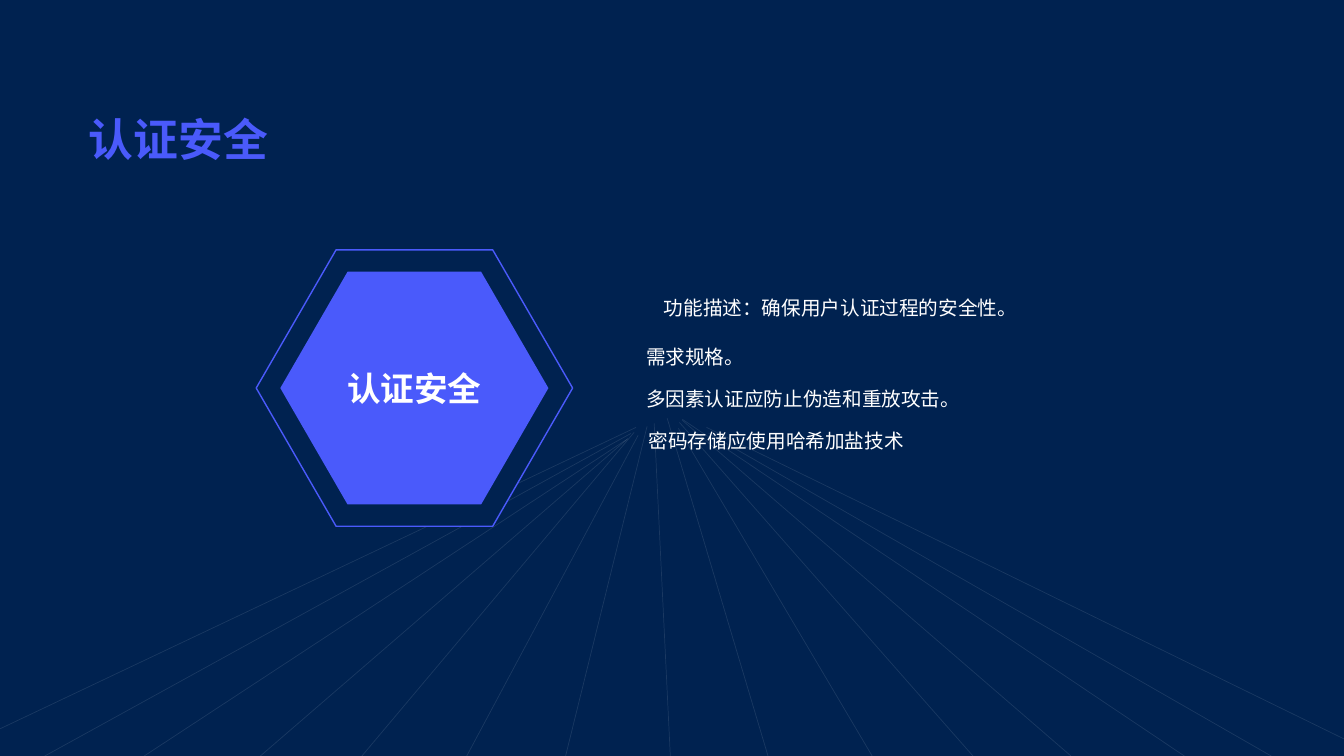
from pptx import Presentation
from pptx.dml.color import RGBColor
from pptx.enum.shapes import MSO_CONNECTOR as Conn, MSO_SHAPE as Shape
from pptx.enum.text import MSO_ANCHOR as Anchor, MSO_AUTO_SIZE as Auto, PP_ALIGN as Align
from pptx.oxml.ns import qn
from pptx.util import Pt
from lxml.etree import SubElement

# Content
NAVY, BLUE, WHITE = "002250", "4A5AFB", "FFFFFF"
CJK = "Noto Sans CJK SC"
TITLE = "认证安全"
NOTES = [  # text, left, top, width, height, alignment
    ("功能描述：确保用户认证过程的安全性。", 462.2, 204.5, 250.6, 27.4, Align.RIGHT),
    ("需求规格。", 461.5, 239.8, 275, 30, Align.LEFT),
    ("多因素认证应防止伪造和重放攻击。", 461.5, 270, 275, 30, Align.LEFT),
    ("密码存储应使用哈希加盐技术", 461.5, 299.5, 184.3, 36, Align.RIGHT),
]
HEXES = [(226, 197.5, NAVY), (191.5, 166.3, BLUE)]  # width, height, fill
HUB = (296, 277.2)  # shared centre of the hexagons
RAYS = [  # outer x, y, inner x, y
    (0, 520.6, 454.3, 305.3), (32, 540, 450.7, 309.6), (103, 540, 447.8, 313.9),
    (186, 540, 448.6, 313.2), (258.5, 540, 452.9, 308.9), (333.4, 540, 455.8, 311),
    (404, 540, 462.2, 304.6), (478.8, 540, 467.3, 302.4), (548.6, 540, 476.6, 298.8),
    (623, 540, 484.6, 306), (695, 540, 485.3, 301.7), (765, 540, 487.4, 300.2),
    (846, 540, 487.4, 299.5), (908, 540, 506.2, 309.6), (960, 527.8, 504.7, 305.3),
]


def paint(fmt, color):
    fmt.solid()
    fmt.fore_color.rgb = RGBColor.from_string(color)


def write(shape, text, anchor, align, gap, color, **look):
    frame = shape.text_frame
    edges = dict.fromkeys(("margin_left", "margin_top", "margin_right", "margin_bottom"), 0)
    form = dict(edges, word_wrap=True, auto_size=Auto.NONE, vertical_anchor=anchor)
    for key, val in form.items():
        setattr(frame, key, val)
    para = frame.paragraphs[0]
    para.alignment, para.line_spacing = align, gap
    run = para.add_run()
    run.text = text
    for key, val in look.items():
        setattr(run.font, key, val)
    paint(run.font.fill, color)
    SubElement(run.font._element, qn("a:ea"), typeface=CJK)


deck = Presentation()
deck.slide_width, deck.slide_height = Pt(960), Pt(540)
slide = deck.slides.add_slide(deck.slide_layouts[5])
paint(slide.background.fill, NAVY)
shapes = slide.shapes

# Title
title = shapes.title
box = dict(left=Pt(63.4), top=Pt(62), width=Pt(850), height=Pt(57))
for key, val in box.items():
    setattr(title, key, val)
write(title, TITLE, Anchor.BOTTOM, Align.LEFT, 0.9, BLUE,
      name="Arial", size=Pt(32), bold=True)

# Faint rays
for ray in RAYS:
    line = shapes.add_connector(Conn.STRAIGHT, *map(Pt, ray))
    line.line.width = Pt(0.5)
    paint(line.line.fill, WHITE)
    tint = next(line._element.iter(qn("a:srgbClr")))
    SubElement(tint, qn("a:alpha"), val="10000")
    SubElement(line._element.spPr, qn("a:effectLst"))

# Hexagons
for wide, high, fill in HEXES:
    hexa = shapes.add_shape(Shape.HEXAGON, Pt(HUB[0] - wide / 2), Pt(HUB[1] - high / 2),
                            Pt(wide), Pt(high))
    hexa.adjustments[0] = 0.289
    hexa.shadow.inherit = False
    paint(hexa.fill, fill)
    paint(hexa.line.fill, BLUE)
    hexa.line.width = Pt(1)
hexa.line.fill.background()
write(hexa, TITLE, Anchor.MIDDLE, Align.CENTER, 1.0, WHITE,
      name=CJK, size=Pt(24), bold=True)

# Notes
for text, *place, align in NOTES:
    note = shapes.add_textbox(*map(Pt, place))
    write(note, text, Anchor.TOP, align, 1.4, WHITE, name=CJK, size=Pt(14))

deck.save("out.pptx")
